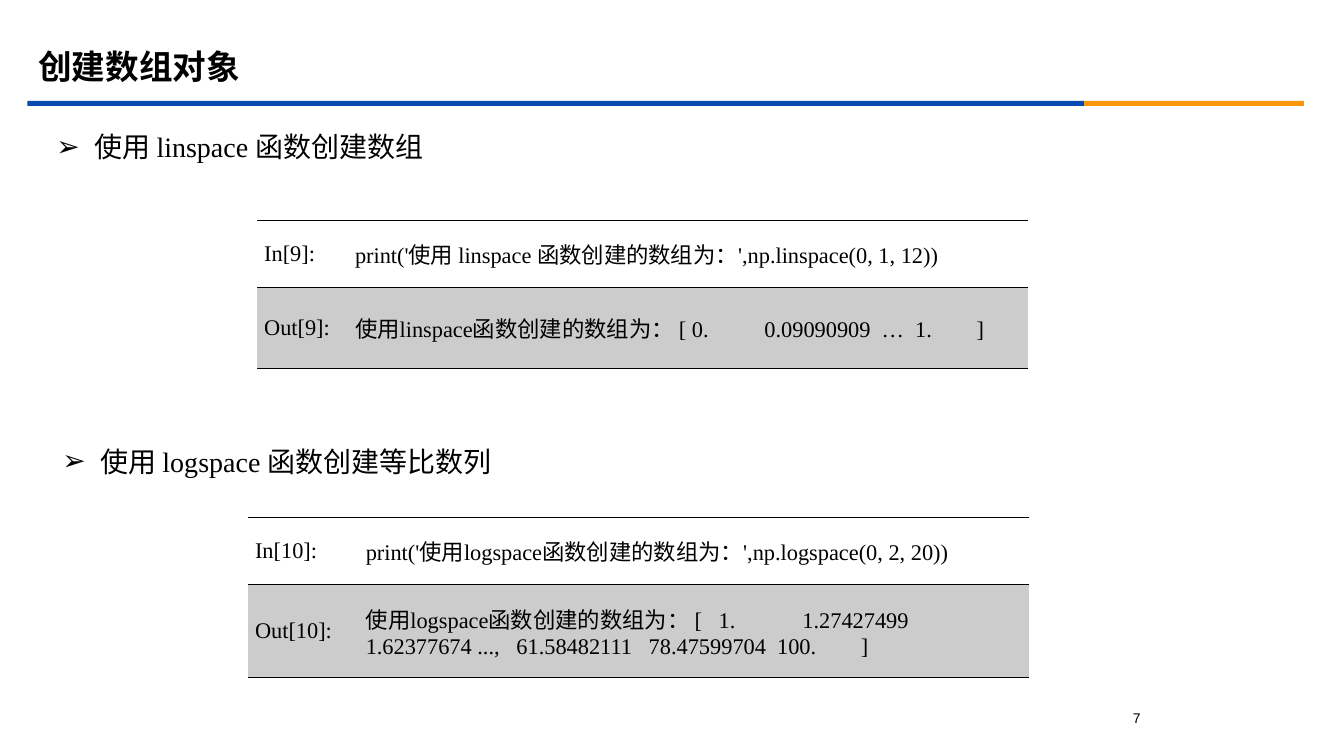
import pptx
import pptx.util
import pptx.dml.color
import pptx.enum.shapes
import pptx.enum.text
import pptx.oxml
import pptx.oxml.ns
from pptx.util import Cm

TITLE = "创建数组对象"
PAGE_NUMBER = "7"
# heading, heading (left, top), table (left, top), column widths, row heights, rows
SECTIONS = [
    ("使用 linspace 函数创建数组", (1.17, 3.15), (6.48, 5.54), (2.29, 17.15), (1.7, 2.04), [
        ("In[9]:", "print('使用 linspace 函数创建的数组为：',np.linspace(0, 1, 12))"),
        ("Out[9]:", "使用linspace函数创建的数组为： [ 0.          0.09090909  …  1.        ]"),
    ]),
    ("使用 logspace 函数创建等比数列", (1.32, 11.07), (6.25, 13.03), (2.79, 16.89), (1.7, 2.33), [
        ("In[10]:", "print('使用logspace函数创建的数组为：',np.logspace(0, 2, 20))"),
        ("Out[10]:", "使用logspace函数创建的数组为： [   1.            1.27427499    "
                     "1.62377674 ...,   61.58482111   78.47599704  100.        ]"),
    ]),
]
RULE_PARTS = [("blue", 0.69, 26.64), ("orange", 27.33, 5.54)]
COLORS = {"text": "000000", "blue": "064BB2", "orange": "FB9708", "output": "CCCCCC"}
BODY_FONT = "Times New Roman"
MIDDLE = pptx.enum.text.MSO_ANCHOR.MIDDLE
ALIGN = pptx.enum.text.PP_ALIGN


def color(name):
    return pptx.dml.color.RGBColor.from_string(COLORS[name])


def drawing_element(markup):
    """Parse one DrawingML element, given without its namespace declaration."""
    tag, rest = markup[:markup.index(" ")], markup[markup.index(" "):]
    return pptx.oxml.parse_xml(f"{tag} {pptx.oxml.ns.nsdecls('a')}{rest}")


def write(frame, text, size=16, font=BODY_FONT, bold=False, align=ALIGN.LEFT,
          line_spacing=1.0, bullet=None):
    frame.word_wrap = True
    para = frame.paragraphs[0]
    if bullet:
        properties = para._p.get_or_add_pPr()
        properties.set("marL", str(Cm(0.95)))
        properties.set("indent", str(Cm(-0.95)))
        properties.append(drawing_element(
            f'<a:buClr ><a:srgbClr val="{COLORS["text"]}"/></a:buClr>'))
        properties.append(drawing_element(f'<a:buChar char="{bullet}"/>'))
    para.alignment = align
    para.line_spacing = line_spacing
    para.space_before = pptx.util.Pt(0)
    span = para.add_run()
    span.text = text
    span.font.size = pptx.util.Pt(size)
    span.font.name = font
    span.font.bold = bold
    span.font.color.rgb = color("text")


def place(box, left, top, width, height):
    box.left, box.top, box.width, box.height = map(Cm, (left, top, width, height))
    box.text_frame.auto_size = pptx.enum.text.MSO_AUTO_SIZE.NONE
    box.text_frame.vertical_anchor = MIDDLE


def rule_cell(cell):
    """Line above and below the cell, none at its sides."""
    solid = f'<a:solidFill><a:srgbClr val="{COLORS["text"]}"/></a:solidFill>'
    sides = [("lnL", "<a:noFill/>"), ("lnR", "<a:noFill/>"), ("lnT", solid), ("lnB", solid)]
    properties = cell._tc.get_or_add_tcPr()
    for position, (side, paint) in enumerate(sides):
        properties.insert(position, drawing_element(
            f'<a:{side} w="{pptx.util.Pt(0.45)}">{paint}</a:{side}>'))


def add_code_table(page, left, top, widths, heights, rows):
    table = page.shapes.add_table(len(rows), len(widths), Cm(left), Cm(top),
                                  Cm(sum(widths)), Cm(sum(heights))).table
    table.first_row = table.horz_banding = False
    for column, width in zip(table.columns, widths):
        column.width = Cm(width)
    for r, (height, texts) in enumerate(zip(heights, rows)):
        table.rows[r].height = Cm(height)
        for c, text in enumerate(texts):
            cell = table.cell(r, c)
            cell.margin_left = cell.margin_right = Cm(0.18)
            cell.vertical_anchor = MIDDLE
            if r == 0:
                cell.fill.background()
            else:
                cell.fill.solid()
                cell.fill.fore_color.rgb = color("output")
            rule_cell(cell)
            write(cell.text_frame, text)


def main():
    deck = pptx.Presentation()
    deck.slide_width, deck.slide_height = Cm(33.88), Cm(19.05)
    page = deck.slides.add_slide(deck.slide_layouts.get_by_name("Two Content"))

    for name, left, width in RULE_PARTS:
        bar = page.shapes.add_shape(pptx.enum.shapes.MSO_SHAPE.RECTANGLE,
                                    Cm(left), Cm(2.54), Cm(width), Cm(0.13))
        bar.shadow.inherit = False
        bar.fill.solid()
        bar.fill.fore_color.rgb = color(name)
        bar.line.fill.background()

    title, *headings = page.placeholders
    place(title, 0.71, 0.99, 30.48, 1.47)
    write(title.text_frame, TITLE, size=24, bold=True, line_spacing=0.9)

    for box, (heading, heading_at, table_at, widths, heights, rows) in zip(headings, SECTIONS):
        place(box, *heading_at, 30.86, 1.19)
        write(box.text_frame, heading, size=20, line_spacing=0.9, bullet="➢")
        add_code_table(page, *table_at, widths, heights, rows)

    number = page.shapes.add_textbox(Cm(27.87), Cm(17.75), Cm(1.57), Cm(0.64))
    write(number.text_frame, PAGE_NUMBER, size=10, font="Arial", align=ALIGN.CENTER)
    deck.save("out.pptx")


if __name__ == "__main__":
    main()
